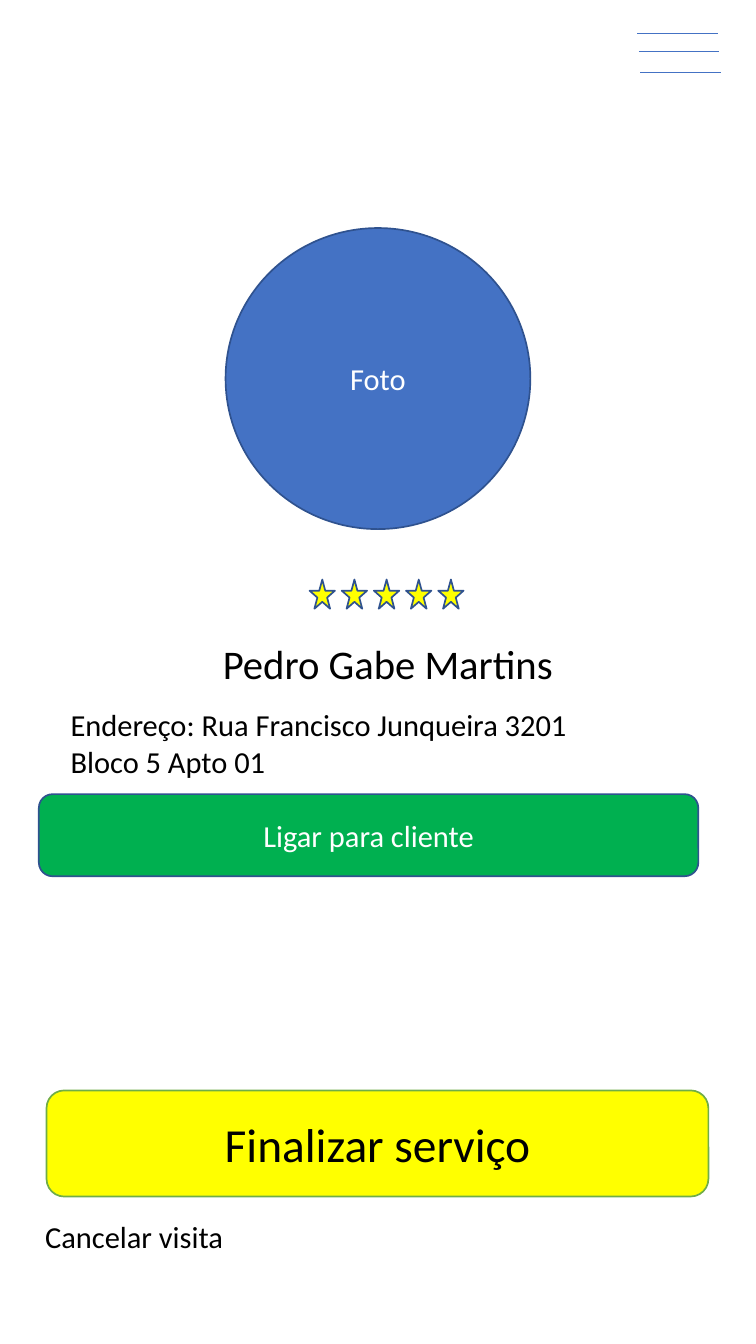
from lxml import etree
from pptx import Presentation
from pptx.dml.color import RGBColor
from pptx.enum.shapes import MSO_CONNECTOR, MSO_SHAPE
from pptx.enum.text import MSO_ANCHOR, MSO_AUTO_SIZE, PP_ALIGN
from pptx.oxml.ns import qn
from pptx.util import Cm, Pt

STRAIGHT = MSO_CONNECTOR.STRAIGHT
OVAL = MSO_SHAPE.OVAL
STAR = MSO_SHAPE.STAR_5_POINT
BUTTON = MSO_SHAPE.ROUNDED_RECTANGLE
TOP, MIDDLE = MSO_ANCHOR.TOP, MSO_ANCHOR.MIDDLE
LEFT, CENTER = PP_ALIGN.LEFT, PP_ALIGN.CENTER
FIXED = MSO_AUTO_SIZE.NONE

BLACK = RGBColor(0x00, 0x00, 0x00)
WHITE = RGBColor(0xFF, 0xFF, 0xFF)
BLUE = RGBColor(0x44, 0x72, 0xC4)
NAVY = RGBColor(0x2F, 0x52, 0x8F)
YELLOW = RGBColor(0xFF, 0xFF, 0x00)
GREEN = RGBColor(0x00, 0xB0, 0x50)
LEAF = RGBColor(0x70, 0xAD, 0x47)

MENU_TOPS = (0.69, 1.07, 1.5)
STAR_COUNT = 5
STAR_STEP = 0.67


def write_text(box, *lines, size=18, color=BLACK, align=LEFT, anchor=TOP):
    frame = box.text_frame
    frame.word_wrap = True
    frame.auto_size = FIXED
    frame.vertical_anchor = anchor
    frame.text = "\n".join(lines)
    for para in frame.paragraphs:
        para.alignment = align
        para.line_spacing = 1.0
        para.space_before = Pt(0)
        para.font.name = "Calibri"
        para.font.size = Pt(size)
        para.font.color.rgb = color


def add_title(page, text, left, top, width, height):
    title = page.shapes.title
    title.left, title.top = Cm(left), Cm(top)
    title.width, title.height = Cm(width), Cm(height)
    write_text(title, text, size=24, align=CENTER)


def add_label(page, left, top, width, height, *lines):
    box = page.shapes.add_textbox(Cm(left), Cm(top), Cm(width), Cm(height))
    write_text(box, *lines)


def add_figure(page, kind, left, top, width, height, fill, line=NAVY):
    figure = page.shapes.add_shape(kind, Cm(left), Cm(top), Cm(width), Cm(height))
    figure.shadow.inherit = False
    figure.fill.solid()
    figure.fill.fore_color.rgb = fill
    figure.line.color.rgb = line
    figure.line.width = Pt(1)
    return figure


def add_menu_line(page, left, top, width):
    line = page.shapes.add_connector(
        STRAIGHT, Cm(left), Cm(top), Cm(left + width), Cm(top))
    line.line.color.rgb = BLUE
    line.line.width = Pt(0.5)
    etree.SubElement(line._element.spPr, qn("a:effectLst"))


def main():
    deck = Presentation()
    deck.slide_width, deck.slide_height = Cm(15.75), Cm(27.99)
    page = deck.slides.add_slide(deck.slide_layouts[5])

    add_title(page, "Pedro Gabe Martins", 3.94, 13.18, 8.28, 1.27)
    for index in range(STAR_COUNT):
        add_figure(page, STAR, 6.45 + index * STAR_STEP, 12.07, 0.53, 0.61, YELLOW)
    add_label(page, 1.22, 14.58, 14.2, 1.8,
              "Endereço: Rua Francisco Junqueira 3201", "Bloco 5 Apto 01")

    call = add_figure(page, BUTTON, 0.81, 16.54, 13.74, 1.71, GREEN)
    write_text(call, "Ligar para cliente", color=WHITE, align=CENTER, anchor=MIDDLE)
    finish = add_figure(page, BUTTON, 0.97, 22.71, 13.79, 2.21, YELLOW, line=LEAF)
    write_text(finish, "Finalizar serviço", size=28, align=CENTER, anchor=MIDDLE)

    for index, top in enumerate(MENU_TOPS):
        add_menu_line(page, 13.28 + index * 0.03, top, 1.68)
    photo = add_figure(page, OVAL, 4.7, 4.75, 6.35, 6.27, BLUE)
    write_text(photo, "Foto", color=WHITE, align=CENTER, anchor=MIDDLE)
    add_label(page, 0.69, 25.25, 6.02, 1.02, "Cancelar visita")

    deck.save("out.pptx")


if __name__ == "__main__":
    main()
